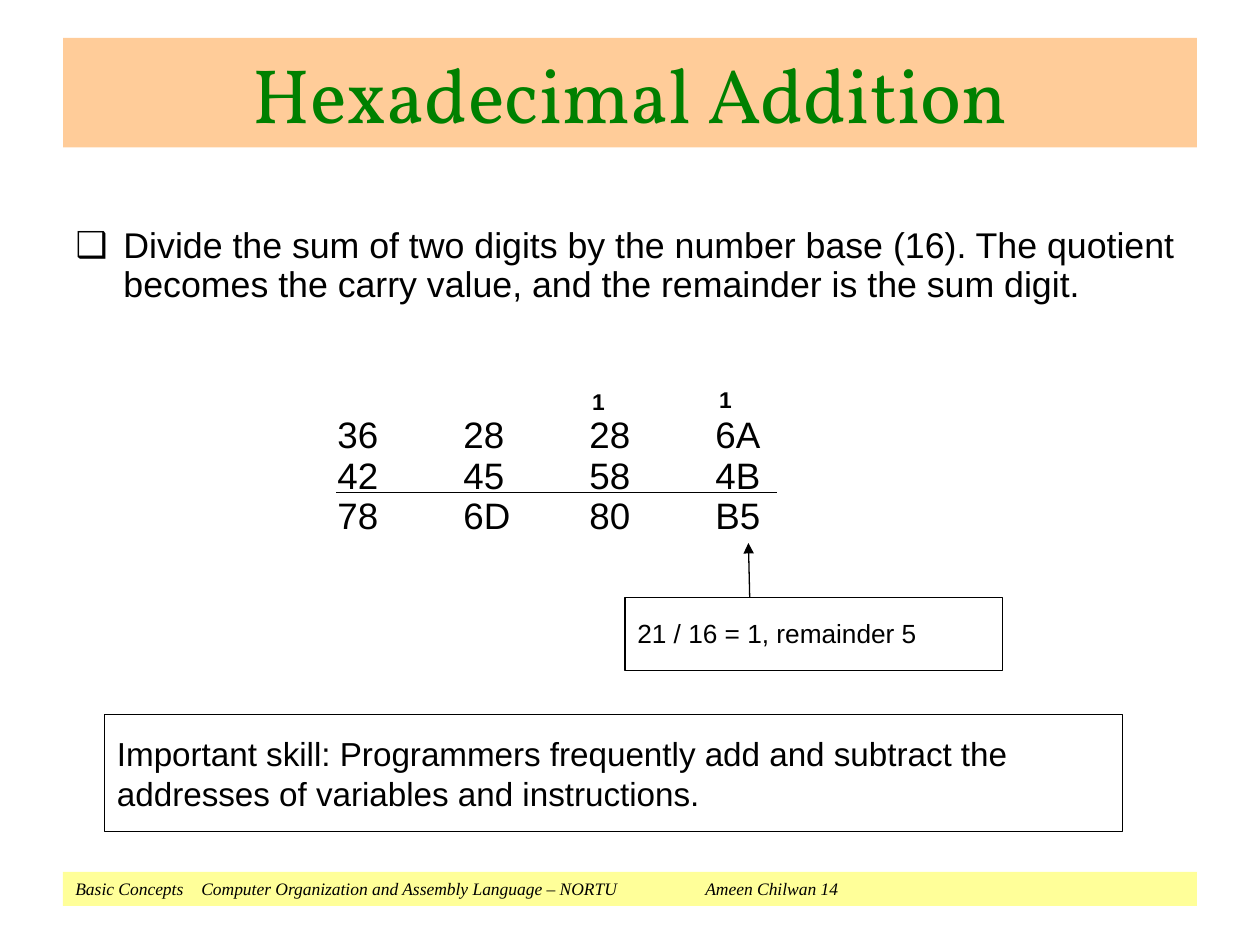
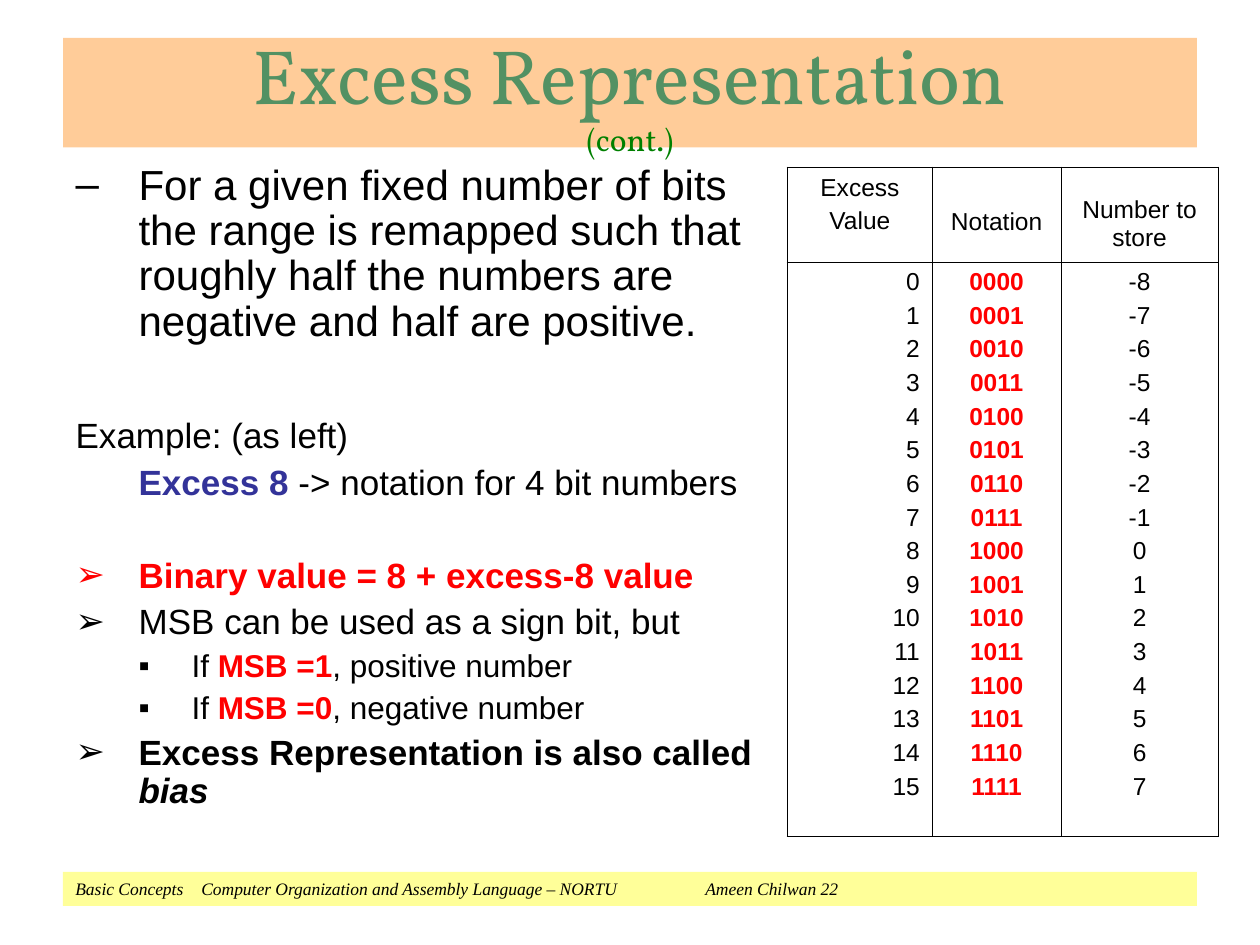
"""Builds two lecture slides on hexadecimal addition and excess representation."""
from lxml import etree
from pptx import Presentation
from pptx.dml.color import RGBColor
from pptx.enum.shapes import MSO_CONNECTOR, MSO_SHAPE
from pptx.enum.text import MSO_ANCHOR, MSO_AUTO_SIZE, PP_ALIGN
from pptx.oxml.ns import qn
from pptx.util import Inches, Pt

RECTANGLE = MSO_SHAPE.RECTANGLE
STRAIGHT = MSO_CONNECTOR.STRAIGHT
MIDDLE, TOP = MSO_ANCHOR.MIDDLE, MSO_ANCHOR.TOP
NO_AUTOFIT = MSO_AUTO_SIZE.NONE
LEFT, CENTER, RIGHT = PP_ALIGN.LEFT, PP_ALIGN.CENTER, PP_ALIGN.RIGHT

BLACK, RED, INDIGO = "000000", "FF0000", "333399"
GREEN, SAGE = "008000", "539163"
PEACH, YELLOW = "FFCC99", "FFFF99"
TITLE_FONT, BODY_FONT, FOOTER_FONT = "Vollkorn", "Arial", "Times New Roman"


def paint(fill, color):
    """Make a fill solid in the given hex colour."""
    fill.solid()
    fill.fore_color.rgb = RGBColor.from_string(color)


def write(frame, runs, size, before=0, spacing=1.0, align=LEFT, font=BODY_FONT,
          indent=None, bullet=None, bullet_color=BLACK, tabs=()):
    """Add a paragraph of (text, colour, style) runs, style holding b and i."""
    paragraph = frame.paragraphs[0]
    if paragraph.runs:
        paragraph = frame.add_paragraph()
    paragraph.alignment = align
    paragraph.line_spacing = spacing
    paragraph.space_before = Pt(before)
    properties = paragraph._p.get_or_add_pPr()
    if indent:
        margin, first = indent
        properties.set("marL", str(Inches(margin)))
        properties.set("indent", str(Inches(first)))
    if bullet:
        color = etree.SubElement(properties, qn("a:buClr"))
        etree.SubElement(color, qn("a:srgbClr"), val=bullet_color)
        etree.SubElement(properties, qn("a:buChar"), char=bullet)
    else:
        etree.SubElement(properties, qn("a:buNone"))
    if tabs:
        stops = etree.SubElement(properties, qn("a:tabLst"))
        for stop in tabs:
            etree.SubElement(stops, qn("a:tab"), pos=str(Inches(stop)), algn="l")
    for text, color, style in runs:
        run = paragraph.add_run()
        run.text = text
        run.font.name = font
        run.font.size = Pt(size)
        run.font.bold = "b" in style
        run.font.italic = "i" in style
        paint(run.font.fill, color)
    return paragraph


deck = Presentation()
deck.slide_width, deck.slide_height = Inches(10), Inches(7.5)

pages = [
    ("Hexadecimal Addition", GREEN, 14, (0.5, 1.76, 9, 0.69)),
    ("Excess Representation", SAGE, 22, (0, 1.25, 6.17, 5.36)),
]
titles, bodies = [], []
for heading, heading_color, number, body_box in pages:
    slide = deck.slides.add_slide(deck.slide_layouts[1])
    title, body = slide.placeholders
    for holder, box, anchor in ((title, (0.5, 0.3, 9, 0.87), MIDDLE),
                                (body, body_box, TOP)):
        holder.left, holder.top, holder.width, holder.height = map(Inches, box)
        holder.text_frame.auto_size = NO_AUTOFIT
        holder.text_frame.vertical_anchor = anchor
    paint(title.fill, PEACH)
    titles.append(write(title.text_frame, [(heading, heading_color, "")], 44,
                        align=CENTER, font=TITLE_FONT))
    bodies.append(body.text_frame)

    footer = slide.shapes.add_shape(RECTANGLE, Inches(0.5), Inches(6.92),
                                    Inches(9), Inches(0.27))
    footer.shadow.inherit = False
    footer.line.fill.background()
    paint(footer.fill, YELLOW)
    footer.text_frame.vertical_anchor = MIDDLE
    credit = ("Basic Concepts\tComputer Organization and Assembly Language – NORTU"
              f"\tAmeen Chilwan {number}")
    write(footer.text_frame, [(credit, BLACK, "i")], 10, font=FOOTER_FONT, tabs=(1, 5))

addition, excess = deck.slides

write(bodies[0], [("Divide the sum of two digits by the number base (16). The quotient "
                   "becomes the carry value, and the remainder is the sum digit.",
                   BLACK, "")],
      20.4, 6, 0.9, indent=(0.38, -0.38), bullet="❑")

sum_rows = ["36\t28\t28\t6A", "42\t45\t58\t4B", "78\t6D\t80\tB5"]
remainder = ["21 / 16 = 1, remainder 5"]
skill = ["Important skill: Programmers frequently add and subtract the "
         "addresses of variables and instructions."]
notes = [
    ((2.58, 3.3, 4.25, 1.09), sum_rows, 21, 13.1, 0.4, "", False),
    ((5.61, 2.95, 0.31, 0.52), ["1"], 13, 8.1, 1.0, "b", False),
    ((4.6, 2.97, 0.31, 0.52), ["1"], 13, 8.1, 1.0, "b", False),
    ((4.96, 4.74, 3, 0.58), remainder, 15, 9.4, 1.1, "", True),
    ((0.83, 5.67, 8.08, 0.93), skill, 19, 11.9, 1.0, "", True),
]
for box, lines, size, before, spacing, style, framed in notes:
    note = addition.shapes.add_textbox(*map(Inches, box))
    note.text_frame.word_wrap = True
    note.text_frame.margin_top = note.text_frame.margin_bottom = Inches(0.15)
    if framed:
        paint(note.line.fill, BLACK)
        note.line.width = Pt(0.75)
    for line in lines:
        write(note.text_frame, [(line, BLACK, style)], size, before, spacing,
              tabs=(1, 2, 3))

for ends, pointed in (((2.67, 3.91, 6.17, 3.91), False),
                      ((5.95, 4.74, 5.94, 4.31), True)):
    stroke = addition.shapes.add_connector(STRAIGHT, *map(Inches, ends))
    paint(stroke.line.fill, BLACK)
    stroke.line.width = Pt(0.75)
    outline = stroke._element.spPr
    if pointed:
        etree.SubElement(outline.find(qn("a:ln")), qn("a:tailEnd"), type="triangle")
    etree.SubElement(outline, qn("a:effectLst"))

titles[1].add_line_break()
continued = titles[1].add_run()
continued.text = "(cont.)"
continued.font.name, continued.font.size = TITLE_FONT, Pt(18)
paint(continued.font.fill, GREEN)

hanging, nested = (1, -0.5), (1.42, -0.42)
points = [
    ([("For a given fixed number of bits the range is remapped such that roughly "
       "half the numbers are negative and half are positive.", BLACK, "")],
     24, 6, hanging, "–", BLACK),
    ([("Example: (as left)", BLACK, "")], 20, 42, hanging, None, BLACK),
    ([("Excess 8 ", INDIGO, "b"), ("-> notation for 4 bit numbers", BLACK, "")],
     20, 5, (1, 0), None, BLACK),
    ([("Binary value = 8 + excess-8 value", RED, "b")], 20, 31.5, hanging, "➢", RED),
    ([("MSB can be used as a sign bit, but", BLACK, "")], 20, 5, hanging, "➢", BLACK),
    ([("If ", BLACK, ""), ("MSB =1", RED, "b"), (", positive number", BLACK, "")],
     18, 4.5, nested, "▪", BLACK),
    ([("If ", BLACK, ""), ("MSB =0", RED, "b"), (", negative number", BLACK, "")],
     18, 4.5, nested, "▪", BLACK),
    ([("Excess Representation is also called ", BLACK, "b"), ("bias", BLACK, "bi")],
     20, 5, hanging, "➢", BLACK),
]
for runs, size, before, indent, bullet, bullet_color in points:
    paragraph = write(bodies[1], runs, size, before, 0.9, indent=indent,
                      bullet=bullet, bullet_color=bullet_color)
    paragraph.level = 2 if indent == nested else 1

codes = range(16)
columns = [
    (1.15, ["Excess", "Value"], 0.05, [str(code) for code in codes], RIGHT, BLACK, ""),
    (1.02, ["Notation"], 0.32, [f"{code:04b}" for code in codes], CENTER, RED, "b"),
    (1.25, ["Number to store"], 0.23, [str(code - 8) for code in codes], CENTER, BLACK, ""),
]
table = excess.shapes.add_table(2, 3, Inches(6.25), Inches(1.33),
                                Inches(3.42), Inches(5.31)).table
table.first_row = table.horz_banding = False
table.rows[0].height, table.rows[1].height = Inches(0.75), Inches(4.56)
for col, (width, header, header_top, values, align, color, style) in enumerate(columns):
    table.columns[col].width = Inches(width)
    contents = [(header, header_top, CENTER, BLACK, ""),
                (values, 0.05, align, color, style)]
    for row, (lines, top, line_align, ink, weight) in enumerate(contents):
        cell = table.cell(row, col)
        cell.margin_top = Inches(top)
        cell.fill.background()
        for line in lines:
            write(cell.text_frame, [(line, ink, weight)], 14, 3.5, align=line_align)
        edges = [("a:lnL", col == 0), ("a:lnR", col == 2),
                 ("a:lnT", row == 0), ("a:lnB", row == 1)]
        for place, (edge, outer) in enumerate(edges):
            border = etree.Element(qn(edge), w=str(Pt(1.08 if outer else 0.45)))
            solid = etree.SubElement(border, qn("a:solidFill"))
            etree.SubElement(solid, qn("a:srgbClr"), val=BLACK)
            cell._tc.get_or_add_tcPr().insert(place, border)

deck.save("out.pptx")
